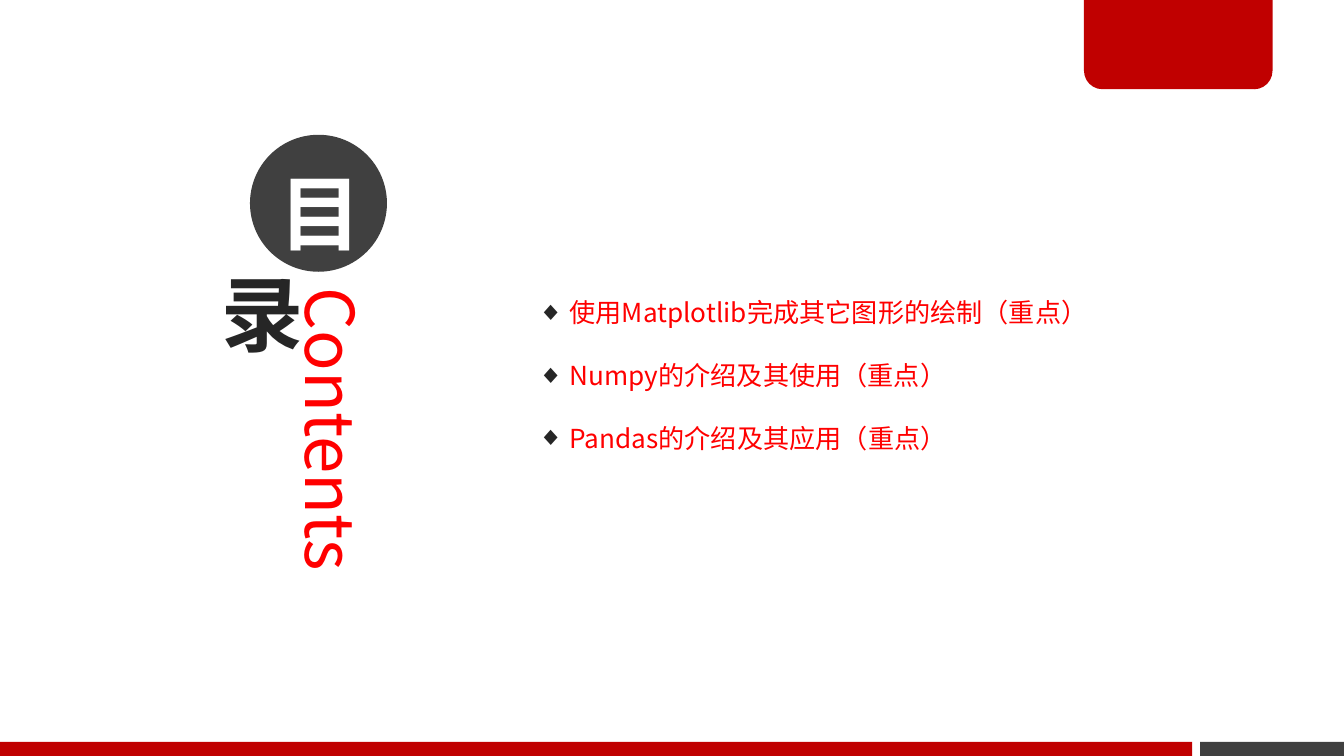
import pptx
import pptx.util
import pptx.dml.color
import pptx.enum.shapes
import pptx.enum.text
import pptx.oxml.ns
from lxml import etree

Pt = pptx.util.Pt
SHAPE = pptx.enum.shapes.MSO_SHAPE
ANCHOR = pptx.enum.text.MSO_ANCHOR
ALIGN = pptx.enum.text.PP_ALIGN
qn = pptx.oxml.ns.qn

FONT = "Noto Sans CJK SC"
COLORS = {"crimson": "C00000", "red": "FF0000", "gray": "404040",
          "ink": "262626", "white": "FFFFFF"}
HEADING = "Contents"
HEADING_COLUMN = (154.1, 151.2, 50.4, 208)
TOPICS = [
    "使用Matplotlib完成其它图形的绘制（重点）",
    "Numpy的介绍及其使用（重点）",
    "Pandas的介绍及其应用（重点）",
]
BANDS = [
    (SHAPE.RECTANGLE, (643, 397.5, 77, 7.5), "gray"),
    (SHAPE.ROUND_2_SAME_RECTANGLE, (580.7, -1.5, 101, 49.3), "crimson"),
    (SHAPE.RECTANGLE, (0, 397.5, 638.7, 7.5), "crimson"),
]
CHARACTERS = [
    ("目", (133.9, 72.2, 73.4, 73.4), "gray", "white", 10.8, Pt(70)),
    ("录", (105.1, 138.5, 57.6, 57.6), None, "ink", 2.9, None),
]


def rgb(name):
    return pptx.dml.color.RGBColor.from_string(COLORS[name])


def place(part, box):
    part.left, part.top, part.width, part.height = map(Pt, box)


def place_turned(part, box):
    left, top, width, height = box
    shift = (width - height) / 2
    place(part, (left + shift, top - shift, height, width))
    part.rotation = 90


def style(paragraph, size, color, bold=False):
    font = paragraph.font
    font.size, font.bold, font.name = Pt(size), bold, FONT
    font.color.rgb = rgb(color)
    etree.SubElement(font._element, qn("a:ea"), typeface=FONT)


def set_margins(frame, left, top, right, bottom):
    frame.margin_left, frame.margin_top = Pt(left), Pt(top)
    frame.margin_right, frame.margin_bottom = Pt(right), Pt(bottom)


def fill_placeholder(part, text):
    frame = part.text_frame
    frame.text = text
    frame.auto_size = pptx.enum.text.MSO_AUTO_SIZE.NONE
    frame.vertical_anchor = ANCHOR.TOP
    return frame


def add_filled(slide, kind, box, fill):
    shape = slide.shapes.add_shape(kind, *map(Pt, box))
    shape.shadow.inherit = False
    shape.line.fill.background()
    if fill:
        shape.fill.solid()
        shape.fill.fore_color.rgb = rgb(fill)
    else:
        shape.fill.background()
    return shape


def add_bullet(paragraph):
    properties = paragraph._p.get_or_add_pPr()
    properties.set("marL", str(Pt(17)))
    properties.set("indent", str(-Pt(17)))
    color = etree.Element(qn("a:buClr"))
    etree.SubElement(color, qn("a:srgbClr"), val=COLORS["ink"])
    mark = etree.Element(qn("a:buChar"), char="◆")
    defaults = properties.find(qn("a:defRPr"))
    defaults.addprevious(color)
    defaults.addprevious(mark)


def main():
    deck = pptx.Presentation()
    deck.slide_width, deck.slide_height = Pt(720), Pt(405)
    slide = deck.slides.add_slide(deck.slide_layouts[1])

    heading = slide.shapes.title
    place_turned(heading, HEADING_COLUMN)
    frame = fill_placeholder(heading, HEADING)
    set_margins(frame, 2.9, 5, 2.9, 5)
    frame.paragraphs[0].alignment = ALIGN.LEFT
    style(frame.paragraphs[0], 36, "red")

    topics = slide.placeholders[1]
    place(topics, (280.8, 138.5, 339.8, 103.7))
    for paragraph in fill_placeholder(topics, "\n".join(TOPICS)).paragraphs:
        paragraph.line_spacing = 2.0
        paragraph.space_before = Pt(0)
        style(paragraph, 14, "red")
        add_bullet(paragraph)

    for kind, box, fill in BANDS:
        band = add_filled(slide, kind, box, fill)
        if kind == SHAPE.ROUND_2_SAME_RECTANGLE:
            band.rotation = 180
            band.adjustments[0] = 0.2

    for text, box, fill, color, bottom, spacing in CHARACTERS:
        character = add_filled(slide, SHAPE.OVAL, box, fill)
        frame = character.text_frame
        frame.text = text
        frame.vertical_anchor = ANCHOR.MIDDLE
        set_margins(frame, 5, 2.9, 5, bottom)
        paragraph = frame.paragraphs[0]
        paragraph.alignment = ALIGN.CENTER
        paragraph.line_spacing = spacing
        style(paragraph, 44, color, bold=True)

    deck.save("out.pptx")


if __name__ == "__main__":
    main()
